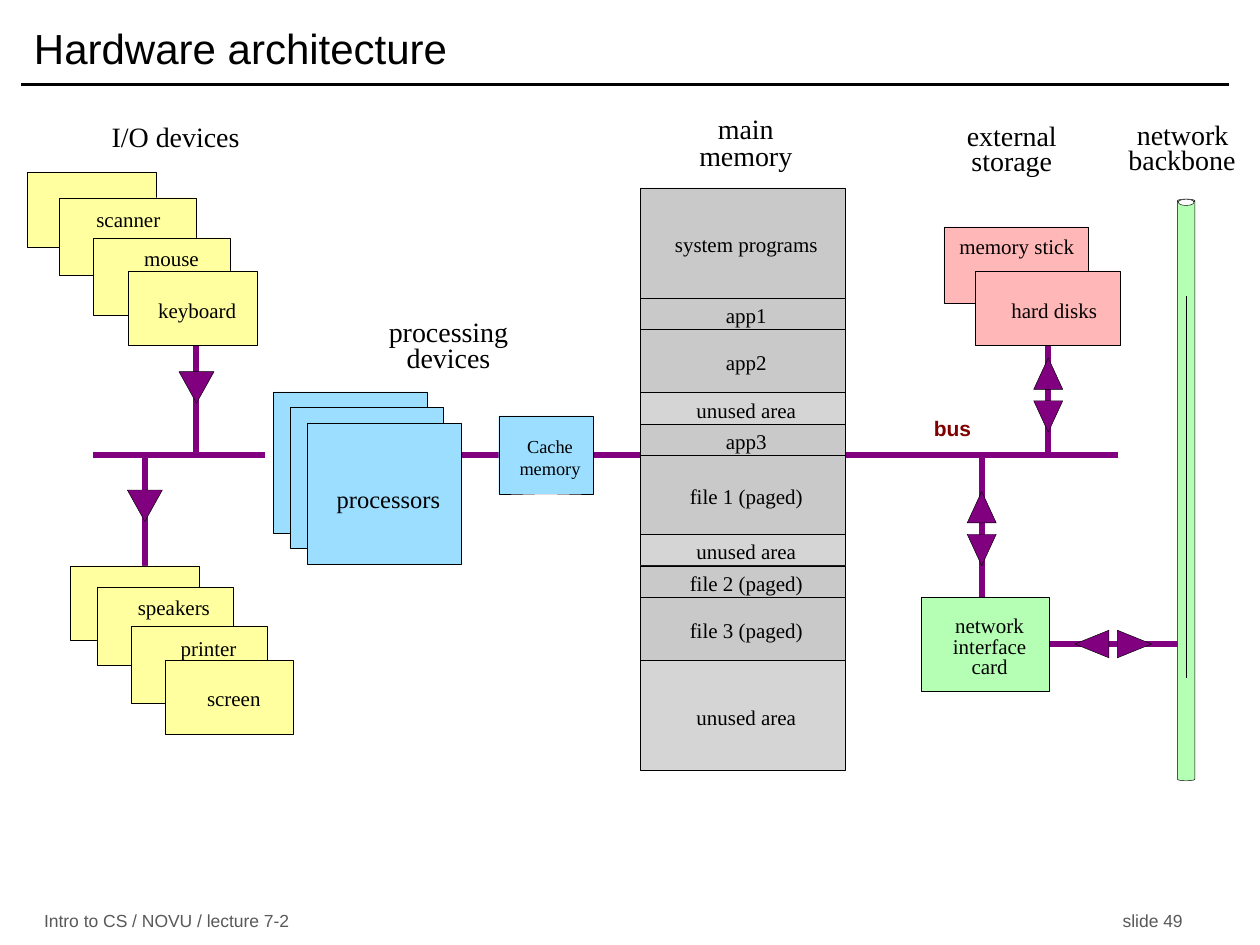
from lxml.etree import SubElement
from pptx import Presentation
from pptx.dml.color import RGBColor
from pptx.enum.shapes import MSO_CONNECTOR, MSO_SHAPE
from pptx.enum.text import MSO_ANCHOR, MSO_AUTO_SIZE, PP_ALIGN
from pptx.oxml.ns import qn
from pptx.util import Pt

COLORS = {
    "black": "000000", "white": "FFFFFF", "footer": "595959",
    "io": "FFFF9F", "processor": "9BDEFF", "storage": "FFB7B7",
    "network": "B5FFB5", "used": "C9C9C9", "unused": "D5D5D5",
    "bus": "800080", "bus label": "800000",
}
THIN, THICK = 0.25, 3.38


def color(name):
    return RGBColor.from_string(COLORS[name])


def apply(target, values):
    for name, value in values.items():
        setattr(target, name, value)


def text_width(line, size, bold=False):
    """Estimated width of a line from narrow, wide and other letters."""
    ems = sum(0.36 if c in "fijlrst /()" else 0.76 if c in "mwO" else 0.5 for c in line)
    return ems * size * (1.35 if bold else 1) + 1


class Diagram:
    """Holds the slide and the common style of its elements."""

    serif, sans = "Times New Roman", "Arial"

    def __init__(self, slide):
        self.shapes = slide.shapes

    def finish(self, shape, fill=None, line="black", weight=THIN):
        shape.shadow.inherit = False
        if fill:
            shape.fill.solid()
            shape.fill.fore_color.rgb = color(fill)
        else:
            shape.fill.background()
        shape.line.color.rgb = color(line)
        shape.line.width = Pt(weight)

    def box(self, left, top, width, height, fill, kind=MSO_SHAPE.RECTANGLE):
        shape = self.shapes.add_shape(kind, Pt(left), Pt(top), Pt(width), Pt(height))
        self.finish(shape, fill)
        return shape

    def line(self, x1, y1, x2, y2, stroke="bus", weight=THICK):
        connector = self.shapes.add_connector(
            MSO_CONNECTOR.STRAIGHT, Pt(x1), Pt(y1), Pt(x2), Pt(y2))
        connector.line.color.rgb = color(stroke)
        connector.line.width = Pt(weight)
        SubElement(connector._element.spPr, qn("a:effectLst"))

    def outline(self, points, closed=False, **style):
        start, *rest = [(Pt(x), Pt(y)) for x, y in points]
        builder = self.shapes.build_freeform(*start)
        builder.add_line_segments(rest, close=closed)
        self.finish(builder.convert_to_shape(), **style)

    def arrowhead(self, x, y, dx, dy, length, half):
        """Triangle with its tip at x, y, pointing along dx, dy."""
        base_x, base_y = x - dx * length, y - dy * length
        self.outline([(x, y),
                      (base_x - dy * half, base_y + dx * half),
                      (base_x + dy * half, base_y - dx * half)],
                     closed=True, fill="bus")

    def text(self, words, left, top, width, height, ink="black", spacing=None,
             align=PP_ALIGN.LEFT, wrap=False, anchor=MSO_ANCHOR.TOP,
             fit=MSO_AUTO_SIZE.SHAPE_TO_FIT_TEXT, **font):
        frame = self.shapes.add_textbox(Pt(left), Pt(top), Pt(width), Pt(height)).text_frame
        apply(frame, {"margin_left": 0, "margin_right": 0, "margin_top": 0,
                      "margin_bottom": 0, "auto_size": fit, "word_wrap": wrap,
                      "vertical_anchor": anchor, "text": words})
        for paragraph in frame.paragraphs:
            apply(paragraph, {"alignment": align, "line_spacing": spacing})
            for run in paragraph.runs:
                apply(run.font, font)
                run.font.color.rgb = color(ink)

    def label(self, words, center, top, size=12, bold=False, **style):
        """Text centred on a point; the box is sized to the words."""
        lines = words.split("\n")
        width = max(text_width(line, size, bold) for line in lines)
        font = {"name": self.serif, "size": Pt(size), "bold": bold, **style}
        self.text(words, center - width / 2, top, width, 1.2 * size * len(lines),
                  align=PP_ALIGN.CENTER, **font)


def main():
    deck = Presentation()
    apply(deck, {"slide_width": Pt(720), "slide_height": Pt(540)})
    diagram = Diagram(deck.slides.add_slide(deck.slide_layouts[6]))

    # Title, rule and footer
    diagram.line(12.2, 48.2, 702, 48.2, "black", 2)
    diagram.text("Hardware architecture", 19.4, 8, 675, 39, wrap=True,
                 anchor=MSO_ANCHOR.MIDDLE, fit=MSO_AUTO_SIZE.NONE,
                 name=diagram.sans, size=Pt(24))
    footer = {"ink": "footer", "name": diagram.sans, "size": Pt(10)}
    diagram.text("Intro to CS / NOVU / lecture 7-2", 25.2, 520, 160, 12,
                 wrap=True, **footer)
    diagram.text("slide 49", 641.5, 520, 45, 12, wrap=True, **footer)

    # Bus and its branches
    bus_y = 260
    for start, end in [(53.3, 151.2), (244, 285), (327, 368), (483, 638.6)]:
        diagram.line(start, bus_y, end, bus_y)
    for device_x, device_y, joint_x in [(82.8, 323.3, 102.2), (112.3, 197.3, 102.2),
                                        (599, 197.3, 561)]:
        diagram.outline([(device_x, device_y), (device_x, bus_y), (joint_x, bus_y)],
                        line="bus", weight=THICK)
    diagram.line(561, 341.3, 561, bus_y)
    diagram.line(599.8, 368, 673.2, 368)

    # Arrowheads on the branches
    for x, y, dx, dy, length, half in [
        (112.3, 230.4, 0, 1, 18, 10), (82.8, 298, 0, 1, 18, 10),
        (599, 247, 0, 1, 18, 8.3), (599, 204.5, 0, -1, 18, 8.3),
        (561, 323.3, 0, 1, 18, 8.3), (561, 280.8, 0, -1, 18, 8.3),
        (658, 368, 1, 0, 19.5, 7.9), (614.2, 368, -1, 0, 19.5, 7.9),
    ]:
        diagram.arrowhead(x, y, dx, dy, length, half)

    # Device cards, from back to front
    cards = {
        "io": [(15.8, 98.6, 73.4, 42.5), (33.8, 113, 78.5, 44.6),
               (53.3, 136, 78.5, 44), (73.4, 154.8, 73.4, 42.5),
               (40.3, 323.3, 73.4, 42.5), (55.4, 335.5, 77.8, 44.6),
               (74.9, 357.8, 77.8, 44), (94.3, 377.3, 73.4, 42.5)],
        "processor": [(156.2, 224, 87.8, 80.6), (165.6, 232.6, 87.8, 80.6),
                      (175.7, 242, 87.8, 80.6), (285, 237.6, 54, 44.6)],
        "storage": [(539.3, 129.6, 82.8, 44), (557.3, 154.8, 82.8, 42.5)],
        "network": [(526.3, 341.3, 73.4, 54)],
    }
    for fill, places in cards.items():
        for place in places:
            diagram.box(*place, fill)

    # Device names
    for name, center, top in [
        ("scanner", 73.4, 118), ("mouse", 98, 140.4), ("keyboard", 112.7, 170),
        ("speakers", 99.4, 340), ("printer", 119.2, 363), ("screen", 133.6, 391.7),
        ("memory stick", 581, 133.2), ("hard disks", 602.5, 170),
        ("network", 565.5, 350), ("interface", 565.5, 361.8), ("card", 565.5, 373.7),
    ]:
        diagram.label(name, center, top)
    diagram.label("processors", 222, 276.5, 14)
    diagram.label("Cache\nmemory", 314.3, 248.4, 10.5)
    diagram.label("bus", 544.3, 237.6, name=diagram.sans, bold=True, ink="bus label")

    # Main memory, in rows of a common unit
    memory_left, row_top, memory_width, unit = 365.8, 107.3, 117.4, 9
    for name, units in [
        ("system programs", 7), ("app1", 2), ("app2", 4), ("unused area", 2),
        ("app3", 2), ("file 1 (paged)", 5), ("unused area", 2),
        ("file 2 (paged)", 2), ("file 3 (paged)", 4), ("unused area", 7),
    ]:
        height = units * unit
        fill = "unused" if name == "unused area" else "used"
        diagram.box(memory_left, row_top, memory_width, height, fill)
        diagram.label(name, memory_left + memory_width / 2 + 2, row_top + height / 2 - 6.4)
        row_top += height

    # Network backbone pipe with its open end
    pipe = diagram.box(672.8, 113.8, 10, 332.4, "network", MSO_SHAPE.CAN)
    pipe.adjustments[0] = 0.18
    diagram.box(673.3, 113.8, 9, 3.6, "white", MSO_SHAPE.OVAL)
    diagram.line(677.8, 169.2, 677.8, 387.4, "black", THIN)

    # Group headings
    for heading, center, top in [
        ("I/O devices", 100.4, 68.4), ("processing", 256.3, 180), ("devices", 256.3, 194.4),
        ("external", 578.2, 67.7), ("storage", 578.2, 82),
        ("network", 675.8, 67), ("backbone", 675.4, 81.4),
    ]:
        diagram.label(heading, center, top, 16)
    diagram.text("main memory", 393.8, 67.7, 64.8, 30.2, spacing=Pt(15.2), wrap=True,
                 align=PP_ALIGN.CENTER, name=diagram.serif, size=Pt(16))

    deck.save("out.pptx")


if __name__ == "__main__":
    main()
